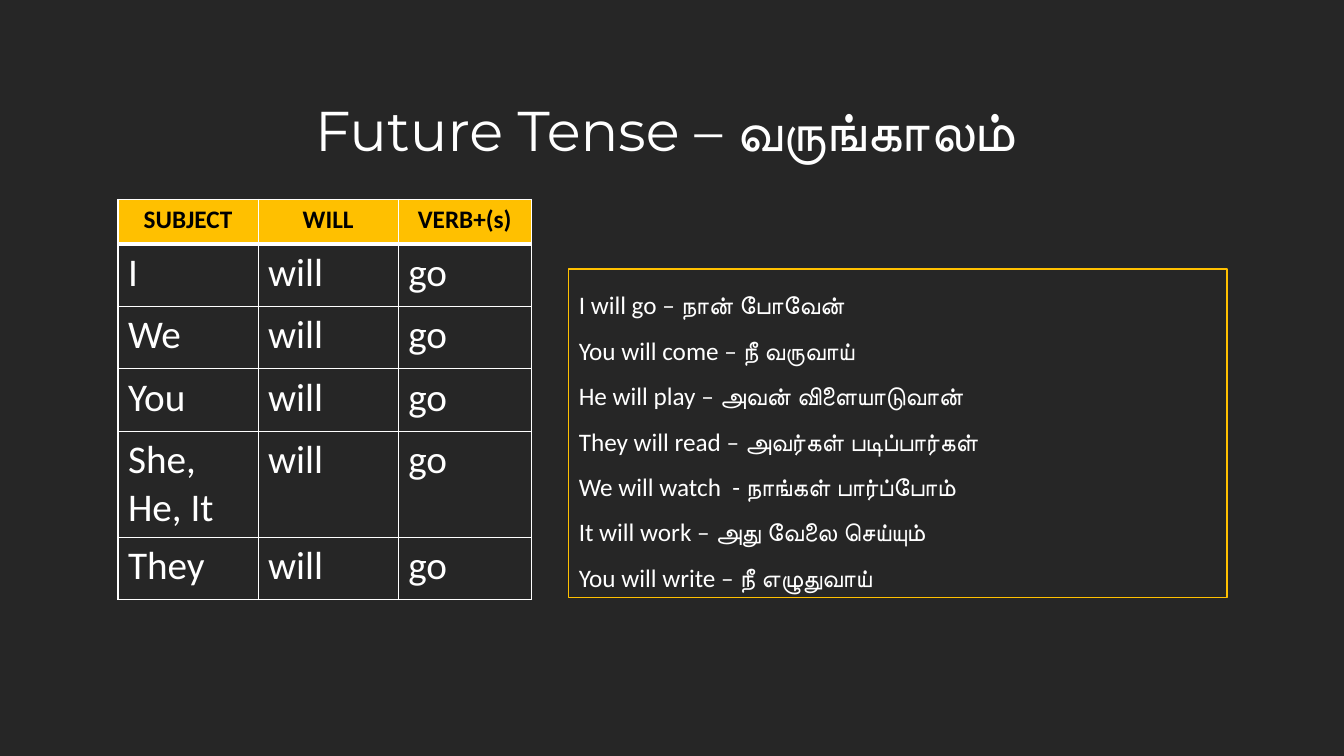
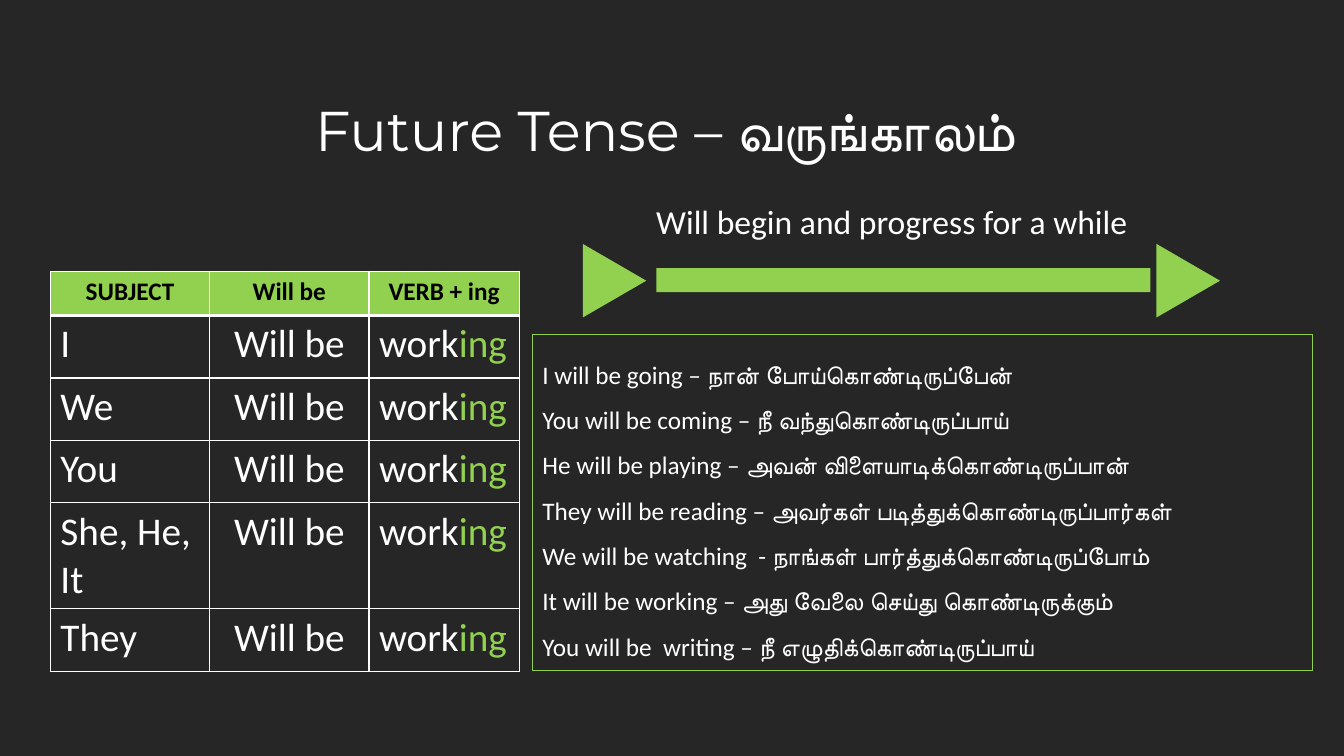
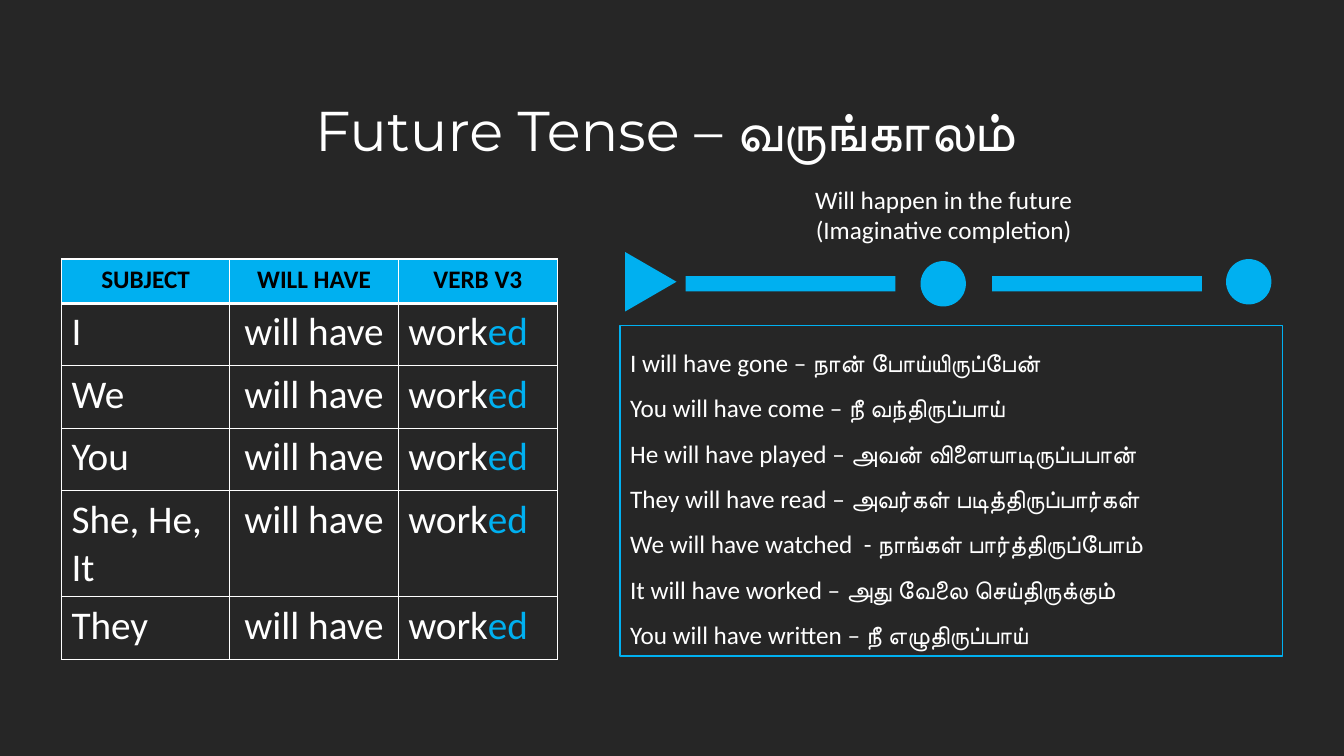
from dataclasses import dataclass

import lxml.etree
import pptx
import pptx.dml.color
import pptx.enum.shapes
import pptx.enum.text
import pptx.oxml.ns
import pptx.util

Inches = pptx.util.Inches
SHAPES = pptx.enum.shapes.MSO_SHAPE
ALIGN = pptx.enum.text.PP_ALIGN
ANCHOR = pptx.enum.text.MSO_ANCHOR
Box = tuple[float, float, float, float]

# Shared look
BACKGROUND, WHITE, BLACK = "262626", "FFFFFF", "000000"
TITLE = "Future Tense – வருங்காலம் "
TITLE_BOX: Box = (2.09, 0.9, 9.15, 0.77)
TITLE_FORMAT = {"name": "Montserrat", "size": pptx.util.Pt(40)}
SMALL_FORMAT = {"name": "Calibri", "size": pptx.util.Pt(18)}
LARGE_FORMAT = {"name": "Calibri", "size": pptx.util.Pt(24)}
HEADER_FORMAT = SMALL_FORMAT | {"bold": True}
CELL_FORMAT = {"name": "Calibri", "size": pptx.util.Pt(28), "bold": False}
SUBJECTS = ("I", "We", "You", "She, He, It", "They")
HEADER_HEIGHT, ROW_HEIGHT = 0.44, 0.62
THIN, THICK = 1, 3


@dataclass(frozen=True)
class TimelinePart:
    kind: pptx.enum.shapes.MSO_SHAPE
    box: Box
    rotation: int = 0


@dataclass(frozen=True)
class Caption:
    lines: tuple[str, ...]
    box: Box
    font_format: dict
    align: pptx.enum.text.PP_ALIGN
    wrap: bool


@dataclass(frozen=True)
class Tense:
    accent: str
    headers: tuple[str, str, str]
    auxiliary: str
    auxiliary_align: pptx.enum.text.PP_ALIGN
    verb: str
    ending: str
    table_corner: tuple[float, float]
    columns: tuple[float, float, float]
    examples_box: Box
    examples: tuple[str, ...]
    caption: Caption | None = None
    timeline: tuple[TimelinePart, ...] = ()


def arrow(left: float, top: float, width: float, height: float) -> TimelinePart:
    return TimelinePart(SHAPES.ISOSCELES_TRIANGLE, (left, top, width, height), 90)


TENSES = (
    Tense(
        accent="FFC000",
        headers=("SUBJECT", "WILL", "VERB+(s)"),
        auxiliary="will", auxiliary_align=ALIGN.LEFT, verb="go", ending="",
        table_corner=(1.17, 1.98), columns=(1.39, 1.39, 1.32),
        examples_box=(5.64, 2.67, 6.53, 3.26),
        examples=(
            "I will go – நான் போவேன்",
            "You will come – நீ வருவாய்",
            "He will play – அவன் விளையாடுவான்",
            "They will read – அவர்கள் படிப்பார்கள்",
            "We will watch  - நாங்கள் பார்ப்போம்",
            "It will work – அது வேலை செய்யும்",
            "You will write – நீ எழுதுவாய்",
        ),
    ),
    Tense(
        accent="92D050",
        headers=("SUBJECT", "Will be", "VERB + ing"),
        auxiliary="Will be", auxiliary_align=ALIGN.CENTER, verb="work", ending="ing",
        table_corner=(0.5, 2.69), columns=(1.58, 1.58, 1.49),
        examples_box=(5.28, 3.32, 7.74, 3.33),
        examples=(
            "I will be going – நான் போய்கொண்டிருப்பேன்",
            "You will be coming – நீ வந்துகொண்டிருப்பாய்",
            "He will be playing – அவன் விளையாடிக்கொண்டிருப்பான்",
            "They will be reading – அவர்கள் படித்துக்கொண்டிருப்பார்கள்",
            "We will be watching  - நாங்கள் பார்த்துக்கொண்டிருப்போம்",
            "It will be working – அது வேலை செய்து கொண்டிருக்கும்",
            "You will be  writing – நீ எழுதிக்கொண்டிருப்பாய்",
        ),
        caption=Caption(("Will begin and progress for a while",),
                        (6.41, 1.94, 4.92, 0.5), LARGE_FORMAT, ALIGN.LEFT, False),
        timeline=(
            TimelinePart(SHAPES.RECTANGLE, (6.51, 2.66, 4.9, 0.24)),
            arrow(11.42, 2.47, 0.73, 0.63),
            arrow(5.73, 2.47, 0.73, 0.63),
        ),
    ),
    Tense(
        accent="00B0F0",
        headers=("SUBJECT", "WILL HAVE", "VERB V3"),
        auxiliary="will have", auxiliary_align=ALIGN.CENTER, verb="work", ending="ed",
        table_corner=(0.61, 2.57), columns=(1.67, 1.67, 1.58),
        examples_box=(6.15, 3.23, 6.57, 3.28),
        examples=(
            "I will have gone – நான் போய்யிருப்பேன்",
            "You will have come – நீ வந்திருப்பாய்",
            "He will have played – அவன் விளையாடிருப்பபான்",
            "They will have read – அவர்கள் படித்திருப்பார்கள்",
            "We will have watched  - நாங்கள் பார்த்திருப்போம்",
            "It will have worked – அது வேலை செய்திருக்கும்",
            "You will have written – நீ எழுதிருப்பாய்",
        ),
        caption=Caption(("Will happen in the future", "(Imaginative completion)"),
                        (6.39, 1.78, 5.94, 0.71), SMALL_FORMAT, ALIGN.CENTER, True),
        timeline=(
            TimelinePart(SHAPES.OVAL, (12.16, 2.57, 0.45, 0.45)),
            TimelinePart(SHAPES.RECTANGLE, (6.8, 2.74, 2.08, 0.15)),
            TimelinePart(SHAPES.OVAL, (9.13, 2.59, 0.45, 0.45)),
            TimelinePart(SHAPES.RECTANGLE, (9.84, 2.74, 2.08, 0.15)),
            arrow(6.16, 2.54, 0.59, 0.51),
        ),
    ),
)


def color(hex_code: str) -> pptx.dml.color.RGBColor:
    return pptx.dml.color.RGBColor.from_string(hex_code)


def fill_solid(fill, hex_code: str) -> None:
    fill.solid()
    fill.fore_color.rgb = color(hex_code)


def place(shape, box: Box) -> None:
    for side, length in zip(("left", "top", "width", "height"), box):
        setattr(shape, side, Inches(length))


def add_run(paragraph, text: str, font_format: dict, hex_code: str = WHITE) -> None:
    run = paragraph.add_run()
    run.text = text
    for attribute, value in font_format.items():
        setattr(run.font, attribute, value)
    run.font.color.rgb = color(hex_code)


def write_lines(frame, lines: tuple[str, ...], font_format: dict, **paragraph_format) -> None:
    """Write one unbulleted paragraph for each line."""
    for index, line in enumerate(lines):
        paragraph = frame.paragraphs[0] if index == 0 else frame.add_paragraph()
        properties = paragraph._p.get_or_add_pPr()
        properties.set("marL", "0")
        properties.set("indent", "0")
        lxml.etree.SubElement(properties, pptx.oxml.ns.qn("a:buNone"))
        for attribute, value in paragraph_format.items():
            setattr(paragraph, attribute, value)
        add_run(paragraph, line, font_format)


def set_frame(frame, anchor, wrap: bool = True) -> None:
    frame.auto_size = pptx.enum.text.MSO_AUTO_SIZE.NONE
    frame.vertical_anchor = anchor
    frame.word_wrap = wrap


def add_title(slide) -> None:
    title = slide.shapes.title
    place(title, TITLE_BOX)
    set_frame(title.text_frame, ANCHOR.TOP)
    write_lines(title.text_frame, (TITLE,), TITLE_FORMAT, alignment=ALIGN.CENTER)


def add_examples(slide, tense: Tense) -> None:
    examples = slide.placeholders[1]
    place(examples, tense.examples_box)
    examples.line.color.rgb = color(tense.accent)
    examples.line.width = pptx.util.Pt(1)
    set_frame(examples.text_frame, ANCHOR.MIDDLE)
    write_lines(examples.text_frame, tense.examples, SMALL_FORMAT, alignment=ALIGN.LEFT,
                line_spacing=1.5, space_before=pptx.util.Pt(0))


def add_timeline(slide, tense: Tense) -> None:
    timeline = slide.shapes.add_group_shape()
    for part in tense.timeline:
        marker = timeline.shapes.add_shape(part.kind, *map(Inches, part.box))
        marker.rotation = part.rotation
        marker.shadow.inherit = False
        fill_solid(marker.fill, tense.accent)
        marker.line.fill.background()


def add_caption(slide, caption: Caption) -> None:
    frame = slide.shapes.add_textbox(*map(Inches, caption.box)).text_frame
    set_frame(frame, ANCHOR.TOP, caption.wrap)
    write_lines(frame, caption.lines, caption.font_format, alignment=caption.align)


def add_borders(cell, top: int, bottom: int) -> None:
    properties = cell._tc.get_or_add_tcPr()
    for side, points in (("L", THIN), ("R", THIN), ("T", top), ("B", bottom)):
        border = lxml.etree.SubElement(properties, pptx.oxml.ns.qn(f"a:ln{side}"),
                                       w=str(pptx.util.Pt(points)))
        solid = lxml.etree.SubElement(border, pptx.oxml.ns.qn("a:solidFill"))
        lxml.etree.SubElement(solid, pptx.oxml.ns.qn("a:srgbClr"), val=WHITE)


def add_conjugation(slide, tense: Tense) -> None:
    rows = [tense.headers, *((who, tense.auxiliary, tense.verb) for who in SUBJECTS)]
    height = HEADER_HEIGHT + ROW_HEIGHT * len(SUBJECTS)
    conjugation = slide.shapes.add_table(
        len(rows), len(tense.columns),
        *map(Inches, (*tense.table_corner, sum(tense.columns), height))).table
    conjugation.horz_banding = False
    for column, width in zip(conjugation.columns, tense.columns):
        column.width = Inches(width)
    for row_index, words in enumerate(rows):
        is_header = row_index == 0
        conjugation.rows[row_index].height = Inches(HEADER_HEIGHT if is_header else ROW_HEIGHT)
        for column_index, word in enumerate(words):
            cell = conjugation.cell(row_index, column_index)
            add_borders(cell, THICK if row_index == 1 else THIN, THICK if is_header else THIN)
            paragraph = cell.text_frame.paragraphs[0]
            if is_header:
                fill_solid(cell.fill, tense.accent)
                paragraph.alignment = ALIGN.CENTER
                add_run(paragraph, word, HEADER_FORMAT, BLACK)
                continue
            cell.fill.background()
            paragraph.alignment = tense.auxiliary_align if column_index == 1 else ALIGN.LEFT
            add_run(paragraph, word, CELL_FORMAT)
            if column_index == 2 and tense.ending:
                add_run(paragraph, tense.ending, CELL_FORMAT, tense.accent)


def main() -> None:
    deck = pptx.Presentation()
    deck.slide_width, deck.slide_height = Inches(13.33), Inches(7.5)
    fill_solid(deck.slide_master.background.fill, BACKGROUND)
    for tense in TENSES:
        slide = deck.slides.add_slide(deck.slide_layouts[1])
        add_title(slide)
        add_examples(slide, tense)
        if tense.timeline:
            add_timeline(slide, tense)
        if tense.caption:
            add_caption(slide, tense.caption)
        add_conjugation(slide, tense)
    deck.save("out.pptx")


if __name__ == "__main__":
    main()
